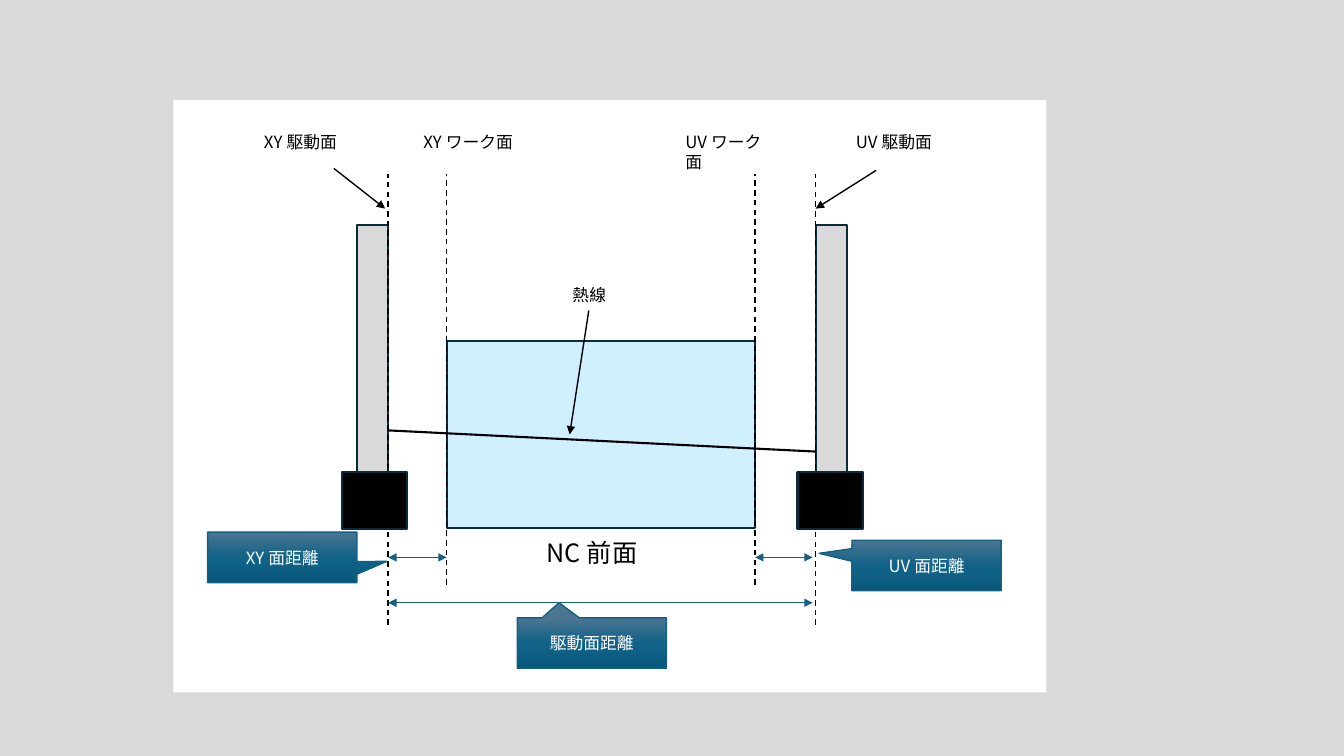
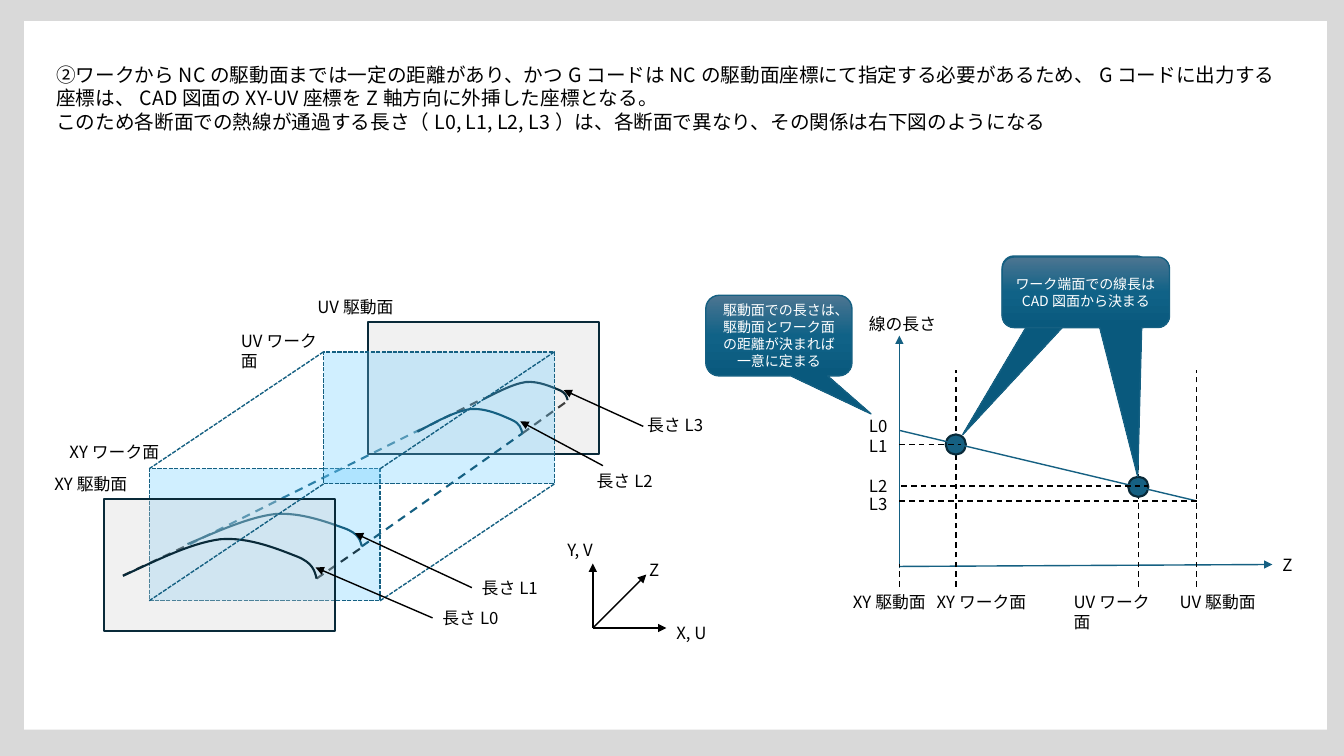
"""Build two slides on hot-wire cutting planes and wire lengths."""
from dataclasses import dataclass
from itertools import product
from typing import Optional

from lxml import etree
from pptx import Presentation
from pptx.dml.color import RGBColor
from pptx.enum.dml import MSO_LINE
from pptx.enum.shapes import MSO_CONNECTOR, MSO_SHAPE
from pptx.enum.text import MSO_ANCHOR, MSO_AUTO_SIZE, PP_ALIGN
from pptx.oxml import parse_xml
from pptx.oxml.ns import nsdecls, qn
from pptx.util import Inches, Pt

FONT = "Noto Sans CJK JP"
BACKDROP = RGBColor(0xD9, 0xD9, 0xD9)
WHITE = RGBColor(0xFF, 0xFF, 0xFF)
BLACK = RGBColor(0, 0, 0)
NAVY = RGBColor(0x09, 0x2A, 0x39)
TEAL = RGBColor(0x15, 0x60, 0x82)
SKY = RGBColor(0x66, 0xCC, 0xFF)
SILVER = RGBColor(0xD1, 0xD1, 0xD1)
CALLOUT_STOPS = (
    (0, RGBColor(0x4C, 0x75, 0x91)),
    (50, RGBColor(0x10, 0x62, 0x87)),
    (100, RGBColor(0x09, 0x59, 0x7D)),
)

DASH, FINE_DASH = MSO_LINE.DASH, MSO_LINE.SQUARE_DOT
STRAIGHT = MSO_CONNECTOR.STRAIGHT
RECT, OVAL = MSO_SHAPE.RECTANGLE, MSO_SHAPE.OVAL
SQUARE_CALLOUT = MSO_SHAPE.RECTANGULAR_CALLOUT
ROUND_CALLOUT = MSO_SHAPE.ROUNDED_RECTANGULAR_CALLOUT
LEFT, CENTER = PP_ALIGN.LEFT, PP_ALIGN.CENTER
MIDDLE = MSO_ANCHOR.MIDDLE
GROW = MSO_AUTO_SIZE.SHAPE_TO_FIT_TEXT
LEFT_SIDE = 1

XY_DRIVE, XY_WORK, UV_WORK, UV_DRIVE = "XY駆動面", "XYワーク面", "UVワーク面", "UV駆動面"
PLANE_WIDTHS = {XY_DRIVE: 0.97, XY_WORK: 1.12, UV_WORK: 1.08, UV_DRIVE: 0.98}
PLANE_W, PLANE_H = 2.29, 1.31
UNIT_CURVE = (
    (0, 0.93), (0.18, 0.52), (0.35, 0.1), (0.5, 0), (0.65, -0.07),
    (0.81, 0.27), (0.9, 0.44), (0.98, 0.6), (0.99, 0.8), (1, 1),
)

Point = tuple[float, float]
Box = tuple[float, float, float, float]


@dataclass(frozen=True)
class Stroke:
    """A straight line with its look."""
    start: Point
    end: Point
    color: RGBColor = BLACK
    weight: float = 1
    dash: Optional[MSO_LINE] = None
    head: bool = False
    tail: bool = False


@dataclass(frozen=True)
class Callout:
    """A gradient speech box."""
    box: Box
    tip: Point
    text: str = ""
    size: float = 12
    shape: MSO_SHAPE = SQUARE_CALLOUT


@dataclass(frozen=True)
class Section:
    """A cutting plane and the wire curve on it."""
    corner: Point
    curve_box: Box
    is_work: bool


@dataclass(frozen=True)
class LengthNote:
    """A wire length label with its arrow."""
    text: str
    corner: Point
    start: Point
    target: Point
    joined: bool = False


def write(frame, text: str, size: float, color: RGBColor, align: PP_ALIGN) -> None:
    """Fill a text frame and format its runs."""
    frame.text = text
    frame.word_wrap = True
    for paragraph in frame.paragraphs:
        paragraph.alignment = align
        for run in paragraph.runs:
            run.font.size, run.font.name = Pt(size), FONT
            run.font.color.rgb = color
            etree.SubElement(run.font._element, qn("a:ea")).set("typeface", FONT)


def label(canvas, text: str, corner: Point, width: float = 1.3, height: float = 0.3,
          size: float = 12, align: PP_ALIGN = LEFT):
    """Add a text box in black."""
    box = canvas.shapes.add_textbox(*map(Inches, (*corner, width, height)))
    write(box.text_frame, text, size, BLACK, align)
    box.text_frame.auto_size = GROW
    return box


def plane_label(canvas, name: str, corner: Point) -> None:
    """Name one of the four planes."""
    label(canvas, name, corner, PLANE_WIDTHS[name])


def block(canvas, box: Box, fill: RGBColor, line: Optional[RGBColor] = NAVY,
          weight: float = 1.5, dash: Optional[MSO_LINE] = None,
          opacity: int = 100, kind: MSO_SHAPE = RECT) -> None:
    """Add a filled shape."""
    shape = canvas.shapes.add_shape(kind, *map(Inches, box))
    shape.shadow.inherit = False
    shape.fill.solid()
    shape.fill.fore_color.rgb = fill
    if opacity < 100:
        color = shape._element.spPr.find(qn("a:solidFill"))[0]
        etree.SubElement(color, qn("a:alpha")).set("val", str(opacity * 1000))
    if line is None:
        shape.line.fill.background()
        return
    shape.line.color.rgb = line
    shape.line.width = Pt(weight)
    if dash is not None:
        shape.line.dash_style = dash


def draw_stroke(canvas, stroke: Stroke):
    """Add a connector with optional dash and arrowheads."""
    line = canvas.shapes.add_connector(STRAIGHT, *map(Inches, (*stroke.start, *stroke.end)))
    line.line.color.rgb = stroke.color
    line.line.width = Pt(stroke.weight)
    if stroke.dash is not None:
        line.line.dash_style = stroke.dash
    properties = line._element.spPr
    outline = properties.find(qn("a:ln"))
    for tag, wanted in (("a:headEnd", stroke.head), ("a:tailEnd", stroke.tail)):
        if wanted:
            etree.SubElement(outline, qn(tag)).set("type", "triangle")
    etree.SubElement(properties, qn("a:effectLst"))
    return line


def draw_callout(canvas, callout: Callout) -> None:
    """Add a callout with the shared gradient."""
    shape = canvas.shapes.add_shape(callout.shape, *map(Inches, callout.box))
    shape.shadow.inherit = False
    shape.adjustments[0], shape.adjustments[1] = callout.tip
    shape.line.color.rgb = TEAL
    shape.line.width = Pt(1)
    stops = "".join(
        f'<a:gs pos="{position * 1000}"><a:srgbClr val="{color}"/></a:gs>'
        for position, color in CALLOUT_STOPS
    )
    gradient = parse_xml(
        f'<a:gradFill {nsdecls("a")} rotWithShape="1"><a:gsLst>{stops}</a:gsLst>'
        '<a:lin ang="5400000" scaled="0"/></a:gradFill>'
    )
    shape._element.spPr.find(qn("a:prstGeom")).addnext(gradient)
    if callout.text:
        write(shape.text_frame, callout.text, callout.size, WHITE, CENTER)
        shape.text_frame.vertical_anchor = MIDDLE


def draw_wire(canvas, box: Box, color: RGBColor) -> None:
    """Add the wire as a cubic curve scaled to its box."""
    left, top, width, height = box
    offsets = [(Inches(x * width), Inches(y * height)) for x, y in UNIT_CURVE]
    anchors = [(Inches(left) + x, Inches(top) + y) for x, y in offsets[::3]]
    builder = canvas.shapes.build_freeform(*anchors[0])
    builder.add_line_segments(anchors[1:], close=False)
    wire = builder.convert_to_shape()
    for index, segment in enumerate(list(wire._element.iter(qn("a:lnTo")))):
        segment.tag = qn("a:cubicBezTo")
        for number, (x, y) in enumerate(offsets[3 * index + 1:3 * index + 3]):
            control = etree.Element(qn("a:pt"), x=str(x), y=str(y))
            segment.insert(number, control)
    wire.shadow.inherit = False
    wire.fill.background()
    wire.line.color.rgb = color
    wire.line.width = Pt(1.5)


def draw_section(canvas, section: Section) -> None:
    """Add a translucent plane and its wire curve."""
    fill, color = (SKY, TEAL) if section.is_work else (SILVER, NAVY)
    weight, dash = (1, FINE_DASH) if section.is_work else (1.5, None)
    block(canvas, (*section.corner, PLANE_W, PLANE_H), fill, color, weight, dash, 30)
    draw_wire(canvas, section.curve_box, color)


def new_slide(deck, panel: Box):
    """Add a blank slide with the grey backdrop and white panel."""
    slide = deck.slides.add_slide(deck.slide_layouts[6])
    slide.background.fill.solid()
    slide.background.fill.fore_color.rgb = BACKDROP
    block(slide, panel, WHITE, None)
    return slide


def front_view(deck) -> None:
    """Draw the machine seen from the front."""
    slide = new_slide(deck, (1.72, 0.99, 8.66, 5.88))
    for left in (3.54, 8.09):
        block(slide, (left, 2.23, 0.31, 3.01), BACKDROP)
    block(slide, (4.43, 3.38, 3.06, 1.86), SKY, opacity=30)
    draw_stroke(slide, Stroke((3.85, 4.27), (8.09, 4.48), weight=1.5))
    for x, bottom in ((4.43, 5.8), (3.85, 6.2), (7.49, 5.8), (8.09, 6.2)):
        draw_stroke(slide, Stroke((x, bottom), (x, 1.73), dash=DASH))
    for name, left in ((XY_WORK, 4.1), (UV_WORK, 6.7), (UV_DRIVE, 8.39), (XY_DRIVE, 2.52)):
        plane_label(slide, name, (left, 1.26))
    label(slide, "熱線", (5.58, 2.78), 0.6)
    for start, end in (((8.69, 1.69), (8.09, 2.07)), ((3.31, 1.67), (3.82, 2.07)),
                       ((5.84, 3.08), (5.65, 4.31))):
        draw_stroke(slide, Stroke(start, end, tail=True))
    label(slide, "NC前面", (5.31, 5.28), 1.12, 0.4, 18, CENTER)
    for left in (3.39, 7.91):
        block(slide, (left, 4.68, 0.65, 0.57), BLACK)
    for left, right, y in ((3.85, 4.43, 5.53), (7.49, 8.06, 5.53), (3.85, 8.06, 5.98)):
        draw_stroke(slide, Stroke((left, y), (right, y), TEAL, head=True, tail=True))
    for text, corner, tip in (("XY面距離", (2.06, 5.28), (0.7, 0.08)),
                              ("UV面距離", (8.45, 5.36), (-0.72, -0.24)),
                              ("駆動面距離", (5.13, 6.13), (-0.22, -0.8))):
        draw_callout(slide, Callout((*corner, 1.48, 0.5), tip, text))


def perspective_view(canvas) -> None:
    """Draw the four planes and the wire curves in depth."""
    for start, end, color in (((1.88, 5.4), (4.17, 4.26), TEAL), ((1.22, 5.71), (1.88, 5.4), BLACK),
                              ((3.14, 5.74), (3.59, 5.43), BLACK), ((5.18, 4.3), (5.64, 3.97), BLACK),
                              ((4.14, 4.28), (4.8, 3.95), BLACK)):
        draw_stroke(canvas, Stroke(start, end, color, 1.5, DASH))
    near, far = (1.48, 4.65), (3.21, 3.49)
    for section in (Section(near, (1.86, 5.1, 1.73, 0.32), True),
                    Section((1.03, 4.95), (1.22, 5.35, 1.92, 0.39), False),
                    Section((3.65, 3.19), (4.8, 3.79, 0.83, 0.18), False),
                    Section(far, (4.14, 4.06, 1.04, 0.24), True)):
        draw_section(canvas, section)
    draw_stroke(canvas, Stroke((3.59, 5.42), (5.18, 4.3), TEAL, 1.5, DASH))
    for dx, dy in product((0, PLANE_W), (0, PLANE_H)):
        start, end = ((x + dx, y + dy) for x, y in (near, far))
        draw_stroke(canvas, Stroke(start, end, TEAL, dash=FINE_DASH))
    for name, corner in ((XY_DRIVE, (0.44, 4.65)), (XY_WORK, (0.59, 4.33)),
                         (UV_WORK, (2.29, 3.23)), (UV_DRIVE, (3.05, 2.89))):
        plane_label(canvas, name, corner)
    for note in (LengthNote("長さL0", (4.29, 5.98), (4.29, 6.13), (3.13, 5.63), True),
                 LengthNote("長さL1", (4.68, 5.68), (4.68, 5.83), (3.52, 5.29), True),
                 LengthNote("長さL2", (5.82, 4.62), (5.98, 4.62), (5.16, 4.18)),
                 LengthNote("長さL3", (6.32, 4.07), (6.38, 4.23), (5.59, 3.87))):
        caption = label(canvas, note.text, note.corner)
        arrow = draw_stroke(canvas, Stroke(note.start, note.target, tail=True))
        if note.joined:
            arrow.begin_connect(caption, LEFT_SIDE)
    for axis, tip, corner, width in (("Z", (6.41, 5.7), (6.34, 5.5), 0.33),
                                     ("Y, V", (5.88, 5.59), (5.53, 5.31), 0.56),
                                     ("X, U", (6.61, 6.23), (6.61, 6.13), 0.59)):
        draw_stroke(canvas, Stroke((5.88, 6.23), tip, tail=True))
        label(canvas, axis, corner, width)


def length_graph(canvas) -> None:
    """Draw wire length against the Z position."""
    draw_stroke(canvas, Stroke((8.92, 5.62), (12.62, 5.6), TEAL, tail=True))
    draw_stroke(canvas, Stroke((8.92, 5.64), (8.92, 3.33), TEAL, tail=True))
    label(canvas, "Z", (12.62, 5.45), 0.33)
    label(canvas, "線の長さ", (8.52, 3.06))
    for name, x, top, left in ((XY_DRIVE, 8.92, 5.6, 8.36), (XY_WORK, 9.48, 3.67, 9.19),
                               (UV_WORK, 11.29, 3.67, 10.55), (UV_DRIVE, 11.87, 3.67, 11.6)):
        draw_stroke(canvas, Stroke((x, 5.82), (x, top), dash=DASH))
        plane_label(canvas, name, (left, 5.82))
    for x, y in ((9.48, 4.41), (11.29, 4.83)):
        block(canvas, (x - 0.1, y - 0.1, 0.2, 0.2), TEAL, kind=OVAL)
    draw_stroke(canvas, Stroke((8.92, 4.27), (11.87, 4.97), TEAL))
    for left, right, y in ((8.92, 9.53, 4.41), (8.94, 11.39, 4.82), (8.92, 11.87, 4.97)):
        draw_stroke(canvas, Stroke((left, y), (right, y), dash=DASH))
    for index, top in enumerate((4.08, 4.27, 4.67, 4.85)):
        label(canvas, f"L{index}", (8.52, top), 0.53)
    for box, tip, text in (
        ((9.94, 2.54, 1.45, 0.7), (-0.77, 2.03), ""),
        ((9.94, 2.55, 1.66, 0.7), (0.31, 2.61), "ワーク端面での線長はCAD図面から決まる"),
        ((7, 2.93, 1.45, 0.8), (0.63, 0.97), "駆動面での長さは、駆動面とワーク面の距離が決まれば一意に定まる"),
    ):
        draw_callout(canvas, Callout(box, tip, text, 10, ROUND_CALLOUT))


def main() -> None:
    """Build and save the deck."""
    deck = Presentation()
    deck.slide_width, deck.slide_height = Inches(13.33), Inches(7.5)
    front_view(deck)
    slide = new_slide(deck, (0.24, 0.21, 12.92, 7.03))
    perspective_view(slide.shapes.add_group_shape())
    label(slide, "②ワークからNCの駆動面までは一定の距離があり、かつGコードはNCの駆動面座標にて指定する必要があるため、"
          "Gコードに出力する座標は、CAD図面のXY-UV座標をZ軸方向に外挿した座標となる。\n"
          "このため各断面での熱線が通過する長さ（L0, L1, L2, L3）は、各断面で異なり、その関係は右下図のようになる",
          (0.46, 0.57), 12.36, 0.81, 14)
    length_graph(slide.shapes.add_group_shape())
    deck.save("out.pptx")


if __name__ == "__main__":
    main()
